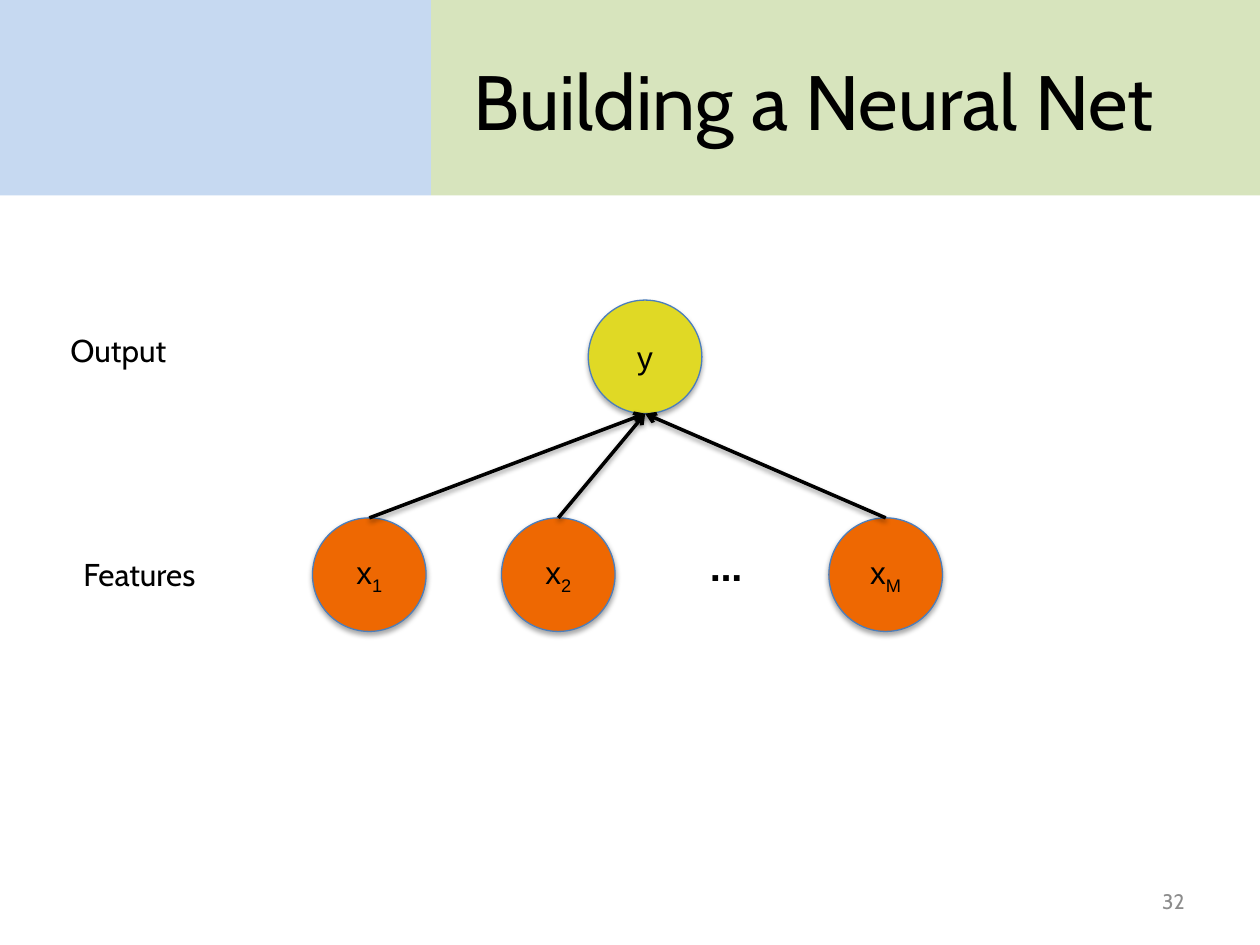
import pptx
import pptx.util
import pptx.dml.color
import pptx.enum.shapes
import pptx.enum.text
import pptx.oxml
import pptx.oxml.ns

Cm = pptx.util.Cm
Pt = pptx.util.Pt
SHAPE = pptx.enum.shapes.MSO_SHAPE
ALIGN = pptx.enum.text.PP_ALIGN
ANCHOR = pptx.enum.text.MSO_ANCHOR

THEME = {
    "heading_font": "Cabin", "node_font": "Arial",
    "title": 44, "ellipsis": 26, "label": 18, "number": 12,
    "text": "000000", "muted": "8C8C8C", "outline": "4B7EBC",
    "blue": "C6D9F1", "green": "D7E4BD",
    "output": "E0D925", "feature": "EE6802",
}

TITLE = "Building a Neural Net"
BANDS = [("blue", 0, 8.69), ("green", 8.69, 16.71)]
BAND_HEIGHT = 3.94
NODE_SIZE = 2.29
OUTPUT = ("y", "", 11.86, 6.05)
FEATURE_TOP = 10.44
FEATURES = [("x", "1", 6.3), ("x", "2", 10.11), ("x", "M", 16.71)]
LABELS = [
    ("Output", (1.17, 6.55, 3.6, 1.02), {}),
    ("Features", (-0.05, 11.07, 5.72, 1.02), {"align": ALIGN.CENTER}),
    ("…", (13.92, 10.67, 1.47, 1.37),
     {"align": ALIGN.CENTER, "anchor": ANCHOR.MIDDLE, "size": "ellipsis", "bold": True}),
    ("32", (18.21, 17.65, 5.92, 1.02),
     {"align": ALIGN.RIGHT, "anchor": ANCHOR.MIDDLE, "size": "number", "color": "muted"}),
]


def rgb(name):
    return pptx.dml.color.RGBColor.from_string(THEME[name])


def write(box, text, subscript="", size="label", font="heading_font", color="text",
          bold=False, align=ALIGN.LEFT, anchor=ANCHOR.TOP):
    frame = box.text_frame
    frame.word_wrap = True
    frame.vertical_anchor = anchor
    para = frame.paragraphs[0]
    para.alignment = align
    for part in filter(None, (text, subscript)):
        span = para.add_run()
        span.text = part
        span.font.name = THEME[font]
        span.font.size = Pt(THEME[size])
        span.font.bold = bold
        span.font.color.rgb = rgb(color)
    if subscript:
        span._r.get_or_add_rPr().set("baseline", "-25000")


def add_shadow(shape, distance, opacity):
    properties = shape.element.spPr
    for old in properties.findall(pptx.oxml.ns.qn("a:effectLst")):
        properties.remove(old)
    properties.append(pptx.oxml.parse_xml(
        f'<a:effectLst {pptx.oxml.ns.nsdecls("a")}>'
        f'<a:outerShdw blurRad="{Pt(3.1)}" dist="{Pt(distance)}" dir="5400000" rotWithShape="0">'
        f'<a:srgbClr val="000000"><a:alpha val="{opacity * 1000}"/></a:srgbClr>'
        '</a:outerShdw></a:effectLst>'))


def add_band(page, color, left, width):
    band = page.shapes.add_shape(SHAPE.RECTANGLE, Cm(left), 0, Cm(width), Cm(BAND_HEIGHT))
    band.shadow.inherit = False
    band.fill.solid()
    band.fill.fore_color.rgb = rgb(color)
    band.line.fill.background()


def add_node(page, text, subscript, left, top, color):
    node = page.shapes.add_shape(SHAPE.FLOWCHART_CONNECTOR, Cm(left), Cm(top),
                                 Cm(NODE_SIZE), Cm(NODE_SIZE))
    node.fill.solid()
    node.fill.fore_color.rgb = rgb(color)
    node.line.color.rgb = rgb("outline")
    node.line.width = Pt(0.75)
    add_shadow(node, 1.8, 35)
    frame = node.text_frame
    frame.margin_left = frame.margin_right = 0
    write(node, text, subscript=subscript, font="node_font",
          align=ALIGN.CENTER, anchor=ANCHOR.MIDDLE)
    return node


def add_arrow(page, source, target):
    arrow = page.shapes.add_connector(
        pptx.enum.shapes.MSO_CONNECTOR.STRAIGHT, source.left + source.width // 2, source.top,
        target.left + target.width // 2, target.top + target.height)
    arrow.begin_connect(source, 0)
    arrow.line.color.rgb = rgb("text")
    arrow.line.width = Pt(2)
    arrow.line._get_or_add_ln().append(pptx.oxml.parse_xml(
        f'<a:tailEnd {pptx.oxml.ns.nsdecls("a")} type="arrow"/>'))
    add_shadow(arrow, 1.6, 38)


def main():
    deck = pptx.Presentation()
    deck.slide_width, deck.slide_height = Cm(25.4), Cm(19.05)
    page = deck.slides.add_slide(deck.slide_layouts[5])

    for band in BANDS:
        add_band(page, *band)

    title = page.shapes.title
    title.left, title.top, title.width, title.height = map(Cm, (8.69, 0.41, 15.44, 3.18))
    write(title, TITLE, size="title", align=ALIGN.CENTER, anchor=ANCHOR.MIDDLE)
    title.element.getparent().append(title.element)

    output = add_node(page, *OUTPUT, "output")
    features = [add_node(page, text, subscript, left, FEATURE_TOP, "feature")
                for text, subscript, left in FEATURES]
    for feature in features:
        add_arrow(page, feature, output)

    for text, place, style in LABELS:
        write(page.shapes.add_textbox(*map(Cm, place)), text, **style)

    deck.save("out.pptx")


if __name__ == "__main__":
    main()
